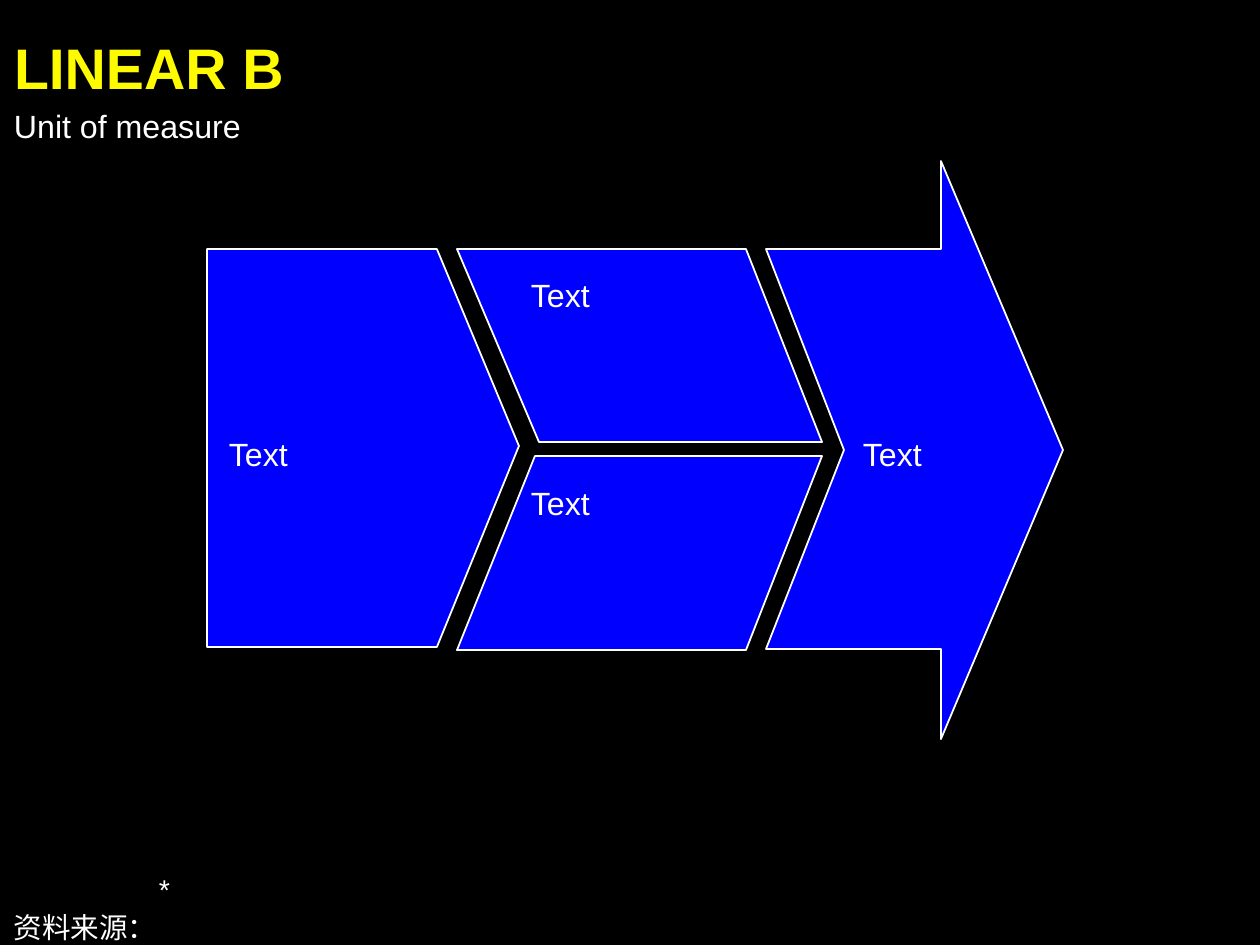
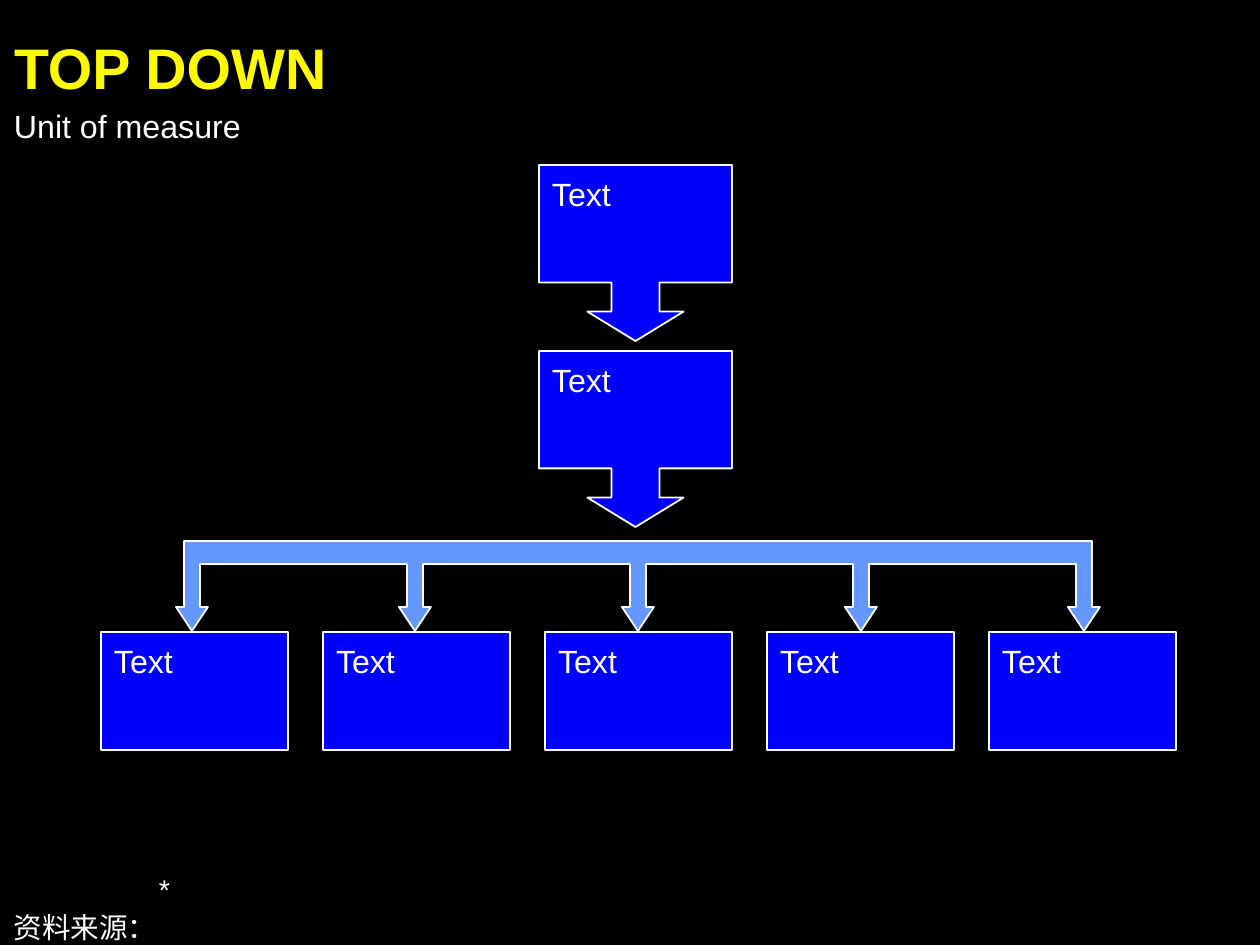
from pptx import Presentation, util as u
from pptx.dml.color import RGBColor
from pptx.enum import shapes, text
from pptx.oxml.ns import qn
from lxml import etree

PX = 7112
BLACK = RGBColor(0x00, 0x00, 0x00)
WHITE = RGBColor(0xFF, 0xFF, 0xFF)
BLUE = RGBColor(0x00, 0x00, 0xFE)
SKY = RGBColor(0x65, 0x98, 0xFF)
YELLOW = RGBColor(0xFE, 0xFB, 0x00)
TOP = text.MSO_ANCHOR.TOP
MIDDLE = text.MSO_ANCHOR.MIDDLE
BOTTOM = text.MSO_ANCHOR.BOTTOM


class Deck:
    font = "Arial"

    def __init__(self):
        self.prs = Presentation()
        self.prs.slide_width = 1260 * PX
        self.prs.slide_height = 945 * PX
        self.slide = None

    def page(self):
        self.slide = self.prs.slides.add_slide(self.prs.slide_layouts[6])
        fill = self.slide.background.fill
        fill.solid()
        fill.fore_color.rgb = BLACK

    def paint(self, shape, color):
        shape.shadow.inherit = False
        shape.fill.solid()
        shape.fill.fore_color.rgb = color
        shape.line.color.rgb = WHITE
        shape.line.width = u.Pt(1)

    def form(self, points, color=BLUE):
        pen = self.slide.shapes.build_freeform(*points[0], scale=PX)
        pen.add_line_segments(points[1:], close=True)
        self.paint(pen.convert_to_shape(), color)

    def block(self, kind, x, y, w, h, adjust=()):
        shape = self.slide.shapes.add_shape(kind, *(n * PX for n in (x, y, w, h)))
        for i, value in enumerate(adjust):
            shape.adjustments[i] = value
        self.paint(shape, BLUE)

    def frame(self, x, y, w, h, anchor=TOP):
        box = self.slide.shapes.add_textbox(*(n * PX for n in (x, y, w, h)))
        frame = box.text_frame
        frame.margin_left = frame.margin_right = 0
        frame.margin_top = frame.margin_bottom = 0
        frame.word_wrap = True
        frame.auto_size = text.MSO_AUTO_SIZE.SHAPE_TO_FIT_TEXT
        frame.vertical_anchor = anchor
        return frame

    def run(self, para, words, size, color=WHITE, bold=False):
        run = para.add_run()
        run.text = words
        run.font.name = self.font
        run.font.size = u.Pt(size)
        run.font.bold = bold
        run.font.color.rgb = color

    def label(self, words, x, y, w, h=39, anchor=TOP, size=18, color=WHITE, bold=False):
        frame = self.frame(x, y, w, h, anchor)
        self.run(frame.paragraphs[0], words, size, color, bold)

    def title(self, words, unit):
        self.label(words, 14, 32, 1223, 68, size=32, color=YELLOW, bold=True)
        self.label(unit, 14, 106, 931)

    def notes(self, *lines):
        frame = self.frame(14, 872, 1211, 72, BOTTOM)
        for i, words in enumerate(lines):
            para = frame.add_paragraph() if i else frame.paragraphs[0]
            props = para._p.get_or_add_pPr()
            props.set("marL", str(145 * PX))
            props.set("indent", str(-145 * PX))
            tabs = etree.SubElement(props, qn("a:tabLst"))
            for pos, side in ((0, "l"), (126, "r"), (229, "l")):
                etree.SubElement(tabs, qn("a:tab"), pos=str(pos * PX), algn=side)
            para.space_after = u.Pt(2)
            self.run(para, words, 16)

    def finish(self, title):
        self.title(title, "Unit of measure")
        self.notes("\t*", "资料来源：")


def linear(deck):
    deck.page()
    deck.form([(766, 649), (941, 649), (941, 739), (1063, 450),
               (941, 161), (941, 249), (766, 249), (844, 450)])
    deck.form([(746, 249), (822, 442), (539, 442), (457, 249)])
    deck.form([(746, 650), (822, 456), (535, 456), (457, 650)])
    deck.form([(519, 446), (437, 249), (207, 249), (207, 647), (437, 647)])
    deck.label("Text", 229, 434, 237, anchor=MIDDLE)
    for y in (275, 483):
        deck.label("Text", 531, y, 237)
    deck.label("Text", 863, 434, 156, anchor=MIDDLE)
    deck.finish("LINEAR B")


def comb(mids):
    points = [(mids[0] - 8, 541), (mids[-1] + 8, 541)]
    for x in reversed(mids):
        points += [(x + 8, 564), (x + 8, 607), (x + 16, 607), (x, 631),
                   (x - 16, 607), (x - 8, 607), (x - 8, 564)]
    return points


def cascade(deck):
    deck.page()
    kind = shapes.MSO_SHAPE
    leaves = [(101 + 222 * i, 632) for i in range(5)]
    steps = [(539, 165), (539, 351)]
    for x, y in leaves:
        deck.block(kind.RECTANGLE, x, y, 187, 118)
    for x, y in steps:
        deck.block(kind.DOWN_ARROW_CALLOUT, x, y, 193, 176,
                   (0.273, 0.273, 0.167, 0.667))
    deck.form(comb([192 + 223 * i for i in range(5)]), SKY)
    for x, y in steps + leaves:
        deck.label("Text", x + 13, y + 9, 176)
    deck.finish("TOP DOWN")


def main():
    deck = Deck()
    linear(deck)
    cascade(deck)
    deck.prs.save("out.pptx")


if __name__ == "__main__":
    main()
